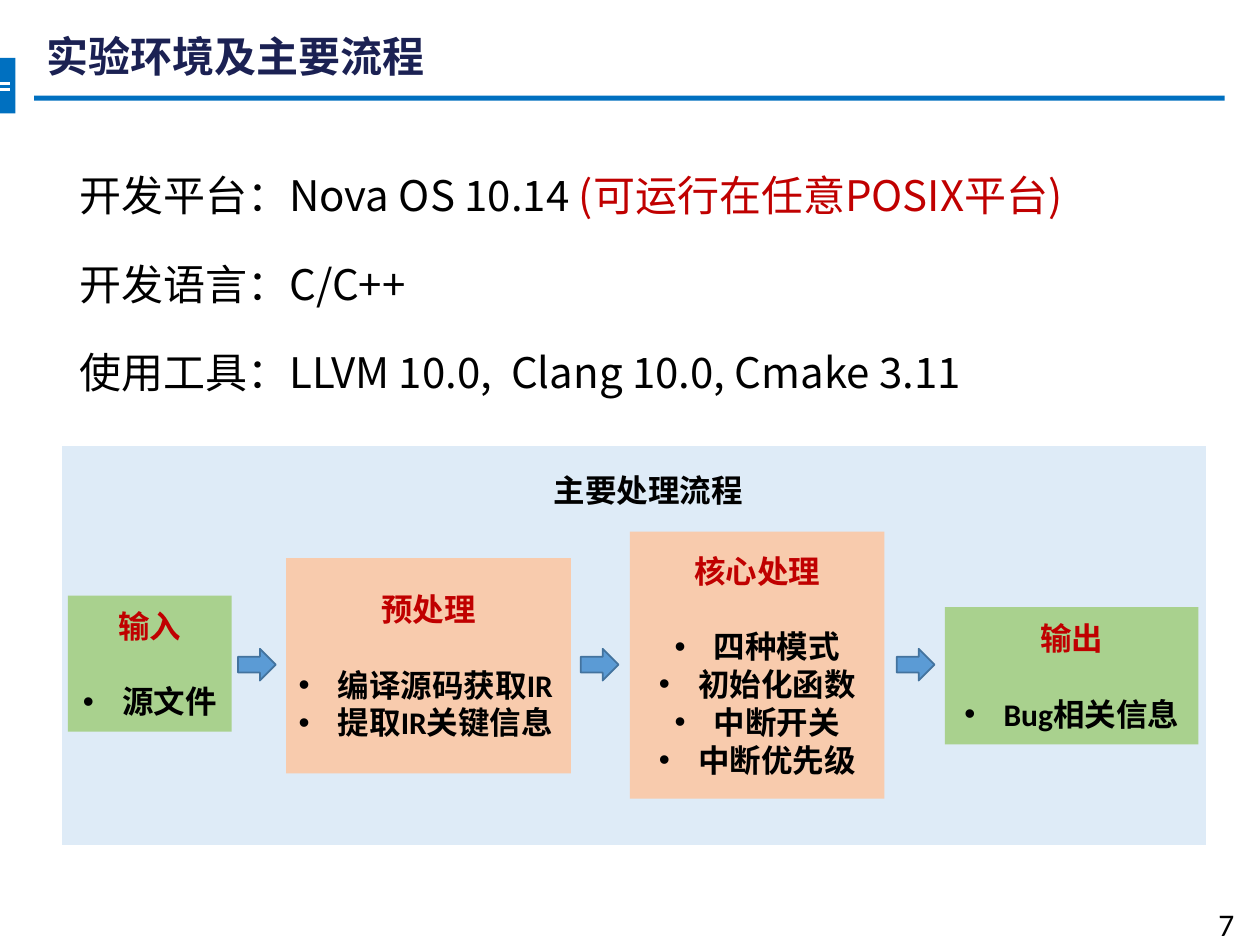
from lxml import etree
from pptx import Presentation
from pptx import util as u
from pptx.dml.color import RGBColor
from pptx.enum import shapes, text
from pptx.oxml import ns

CJK = "Noto Sans CJK SC"
LATIN = "Calibri"
BLUE, WHITE, BLACK, RED, NAVY = "0070C0", "FFFFFF", "000000", "C00000", "1B2153"
PANEL, ORANGE, GREEN = "DEEBF7", "F8CBAD", "A9D18E"
ARROW, ARROW_EDGE = "5B9BD5", "43739E"


def rgb(value):
    return RGBColor.from_string(value)


def add_bullet(p):
    """Give a paragraph a round bullet with a hanging indent."""
    pPr = p._p.get_or_add_pPr()
    pPr.set("marL", str(u.Cm(0.79)))
    pPr.set("indent", str(-u.Cm(0.79)))
    font = etree.SubElement(pPr, ns.qn("a:buFont"))
    font.set("typeface", "Arial")
    etree.SubElement(pPr, ns.qn("a:buChar")).set("char", "•")


class Slide:
    def __init__(self, prs):
        self.s = prs.slides.add_slide(prs.slide_layouts[6])

    def style(self, r, size, color, bold=False, font=CJK):
        r.font.size = u.Pt(size)
        r.font.bold = bold
        r.font.color.rgb = rgb(color)
        r.font.name = font
        etree.SubElement(r._r.get_or_add_rPr(), ns.qn("a:ea")).set("typeface", CJK)

    def shape(self, box, fill, edge=None, kind=shapes.MSO_SHAPE.RECTANGLE):
        sp = self.s.shapes.add_shape(kind, *map(u.Cm, box))
        sp.shadow.inherit = False
        sp.fill.solid()
        sp.fill.fore_color.rgb = rgb(fill)
        if edge:
            sp.line.color.rgb = rgb(edge)
            sp.line.width = u.Pt(1)
        else:
            sp.line.fill.background()
        return sp

    def line(self, x1, y1, x2, y2, color, width):
        ln = self.s.shapes.add_connector(
            shapes.MSO_CONNECTOR.STRAIGHT, *map(u.Cm, (x1, y1, x2, y2)))
        ln.line.color.rgb = rgb(color)
        ln.line.width = u.Pt(width)
        etree.SubElement(ln._element.spPr, ns.qn("a:effectLst"))

    def label(self, box, parts, size=24, bold=False, font=CJK,
              align=text.PP_ALIGN.LEFT, anchor=text.MSO_ANCHOR.TOP):
        """Add one line of text made of (words, colour) parts."""
        tf = self.s.shapes.add_textbox(*map(u.Cm, box)).text_frame
        tf.word_wrap = True
        tf.vertical_anchor = anchor
        p = tf.paragraphs[0]
        p.alignment = align
        for words, color in parts:
            r = p.add_run()
            r.text = words
            self.style(r, size, color, bold, font)

    def stage(self, box, fill, heading, items, align=text.PP_ALIGN.CENTER):
        """Add a process box: a red heading over bulleted items."""
        tf = self.shape(box, fill).text_frame
        tf.word_wrap = True
        tf.vertical_anchor = text.MSO_ANCHOR.MIDDLE
        tf.text = "\n".join([heading, *items])
        for i, p in enumerate(tf.paragraphs):
            p.alignment = align if i else text.PP_ALIGN.CENTER
            if i:
                add_bullet(p)
            else:
                p.space_after = u.Pt(21.5)
            self.style(p.runs[0], 18, BLACK if i else RED, True, LATIN)

    def arrow(self, x, y):
        self.shape((x, y, 0.76, 0.64), ARROW, ARROW_EDGE, shapes.MSO_SHAPE.RIGHT_ARROW)


def main():
    prs = Presentation()
    prs.slide_width, prs.slide_height = u.Cm(25.4), u.Cm(19.05)
    s = Slide(prs)

    # Title band and page number
    s.shape((0.69, 1.93, 24, 0.1), BLUE)
    s.shape((0, 1.17, 0.31, 1.12), BLUE)
    for y in (1.68, 1.8):
        s.line(0, y, 0.2, y, WHITE, 1.5)
    s.label((0.69, 0.33, 20.6, 1.6), [("实验环境及主要流程", NAVY)], bold=True,
            anchor=text.MSO_ANCHOR.MIDDLE)
    s.label((24.31, 18.11, 1.8, 1.02), [("7", BLACK)], size=18, font=LATIN)

    # Environment
    environment = [
        [("开发平台：Nova OS 10.14 ", BLACK), ("(可运行在任意POSIX平台)", RED)],
        [("开发语言：C/C++", BLACK)],
        [("使用工具：LLVM 10.0,  Clang 10.0, Cmake 3.11", BLACK)],
    ]
    for i, parts in enumerate(environment):
        s.label((1.35, 3.3 + 1.78 * i, 23, 1.27), parts)

    # Process flow
    s.shape((1.24, 8.97, 23.09, 8.08), PANEL, WHITE)
    s.label((6.6, 9.37, 12.93, 1.02), [("主要处理流程", BLACK)], size=18, bold=True,
            font=LATIN, align=text.PP_ALIGN.CENTER)
    s.stage((1.37, 12.01, 3.3, 2.74), GREEN, "输入", ["源文件"])
    s.stage((5.77, 11.25, 5.74, 4.34), ORANGE, "预处理",
            ["编译源码获取IR", "提取IR关键信息"], text.PP_ALIGN.LEFT)
    s.stage((12.7, 10.72, 5.13, 5.38), ORANGE, "核心处理",
            ["四种模式", "初始化函数", "中断开关", "中断优先级"])
    s.stage((19.05, 12.24, 5.11, 2.77), GREEN, "输出", ["Bug相关信息"])
    for x in (4.8, 11.71, 18.08):
        s.arrow(x, 13.08)

    prs.save("out.pptx")


if __name__ == "__main__":
    main()
